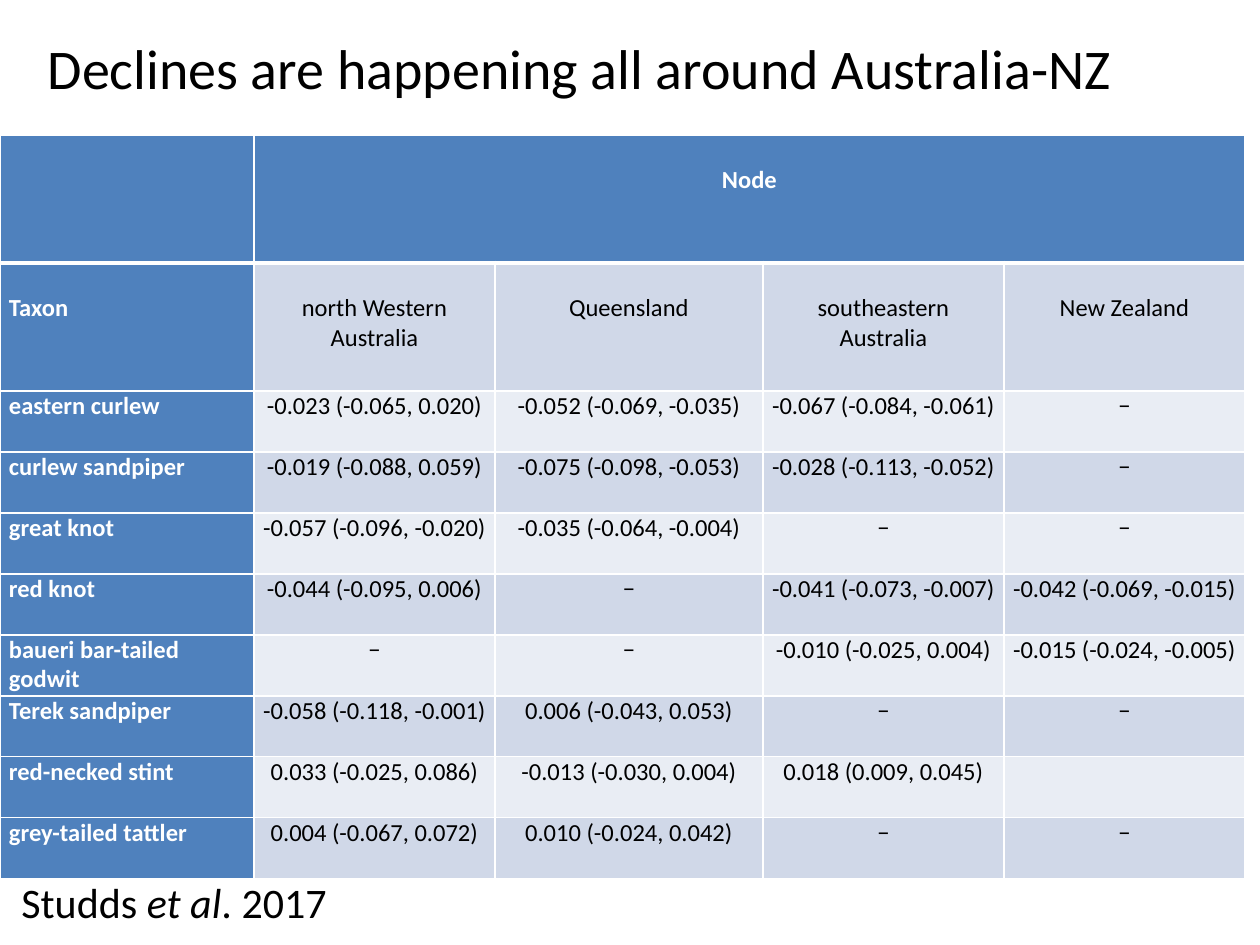
from lxml import etree
from pptx import Presentation
from pptx.dml.color import RGBColor
from pptx.enum.text import MSO_ANCHOR, MSO_AUTO_SIZE, PP_ALIGN
from pptx.oxml.ns import qn
from pptx.util import Pt

PX = 914400 // 126
LEFT, CENTER = PP_ALIGN.LEFT, PP_ALIGN.CENTER
TOP = MSO_ANCHOR.TOP
FIT = MSO_AUTO_SIZE.SHAPE_TO_FIT_TEXT
BLUE, WHITE, BLACK = "4F81BD", "FFFFFF", "000000"
BANDS = ["D0D8E8", "E9EDF4"]
COLS = [254, 241, 268, 241, 241]
ROWS = [128] * 2 + [61] * 8
DATA = [
    ["", "Node", "", "", ""],
    ["Taxon", "north Western Australia", "Queensland", "southeastern Australia", "New Zealand"],
    ["eastern curlew", "-0.023 (-0.065, 0.020)", "-0.052 (-0.069, -0.035)", "-0.067 (-0.084, -0.061)", "−"],
    ["curlew sandpiper", "-0.019 (-0.088, 0.059)", "-0.075 (-0.098, -0.053)", "-0.028 (-0.113, -0.052)", "−"],
    ["great knot", "-0.057 (-0.096, -0.020)", "-0.035 (-0.064, -0.004)", "−", "−"],
    ["red knot", "-0.044 (-0.095, 0.006)", "−", "-0.041 (-0.073, -0.007)", "-0.042 (-0.069, -0.015)"],
    ["baueri bar-tailed godwit", "−", "−", "-0.010 (-0.025, 0.004)", "-0.015 (-0.024, -0.005)"],
    ["Terek sandpiper", "-0.058 (-0.118, -0.001)", "0.006 (-0.043, 0.053)", "−", "−"],
    ["red-necked stint", "0.033 (-0.025, 0.086)", "-0.013 (-0.030, 0.004)", "0.018 (0.009, 0.045)", ""],
    ["grey-tailed tattler", "0.004 (-0.067, 0.072)", "0.010 (-0.024, 0.042)", "−", "−"],
]


def px(*nums):
    """Turn px lengths into EMU."""
    return [num * PX for num in nums]


def tint(code):
    """Turn a hex string into a colour."""
    return RGBColor.from_string(code)


def write(frame, text, size=14, color=BLACK, bold=False, align=LEFT, slant=""):
    """Fill a frame with one paragraph, with the slant part in italics."""
    para = frame.paragraphs[0]
    para.alignment = align
    head, mid, tail = text.partition(slant) if slant else (text, "", "")
    for part in filter(None, (head, mid, tail)):
        run = para.add_run()
        run.text = part
        font = run.font
        font.name, font.size, font.bold = "Calibri", Pt(size), bold
        font.italic = part == slant
        font.color.rgb = tint(color)


def edge(cell, base):
    """Draw white lines around a cell, with the given base width."""
    props = cell._tc.get_or_add_tcPr()
    for spot, side in enumerate("LRTB"):
        width = base if side == "B" else 1
        line = etree.Element(qn(f"a:ln{side}"), w=str(Pt(width)))
        fill = etree.SubElement(line, qn("a:solidFill"))
        etree.SubElement(fill, qn("a:srgbClr"), val=WHITE)
        props.insert(spot, line)


def title(slide, box):
    """Place the slide title."""
    shape = slide.shapes.title
    shape.left, shape.top, shape.width, shape.height = px(*box)
    frame = shape.text_frame
    frame.word_wrap, frame.auto_size = False, FIT
    frame.vertical_anchor = TOP
    write(frame, "Declines are happening all around Australia-NZ", size=32)


def grid(slide, left, top):
    """Place the table of trends by taxon and node."""
    box = px(left, top, sum(COLS), sum(ROWS))
    table = slide.shapes.add_table(len(ROWS), len(COLS), *box).table
    table.first_col = True
    for col, width in zip(table.columns, px(*COLS)):
        col.width = width
    for row, height in zip(table.rows, px(*ROWS)):
        row.height = height
    table.cell(0, 1).merge(table.cell(0, len(COLS) - 1))
    for r, line in enumerate(DATA):
        for c, text in enumerate(line):
            cell = table.cell(r, c)
            head = r == 0 or c == 0
            cell.fill.solid()
            cell.fill.fore_color.rgb = tint(BLUE if head else BANDS[(r + 1) % 2])
            edge(cell, 1 if r else 3)
            cell.margin_left, cell.margin_right = px(9, 9)
            cell.margin_top, cell.margin_bottom = px(30 if r < 2 else 0, 0)
            write(cell.text_frame, text, color=WHITE if head else BLACK,
                  bold=head, align=CENTER if c else LEFT)


def source(slide, box):
    """Place the source of the data."""
    frame = slide.shapes.add_textbox(*px(*box)).text_frame
    frame.word_wrap, frame.auto_size = False, FIT
    write(frame, "Studds et al. 2017", size=24, slant="et al")


def main():
    """Build and save the slide."""
    deck = Presentation()
    deck.slide_width, deck.slide_height = px(1260, 945)
    slide = deck.slides.add_slide(deck.slide_layouts[5])
    grid(slide, 0, 135)
    title(slide, (35, 27, 1101, 81))
    source(slide, (9, 870, 333, 63))
    deck.save("out.pptx")


if __name__ == "__main__":
    main()
